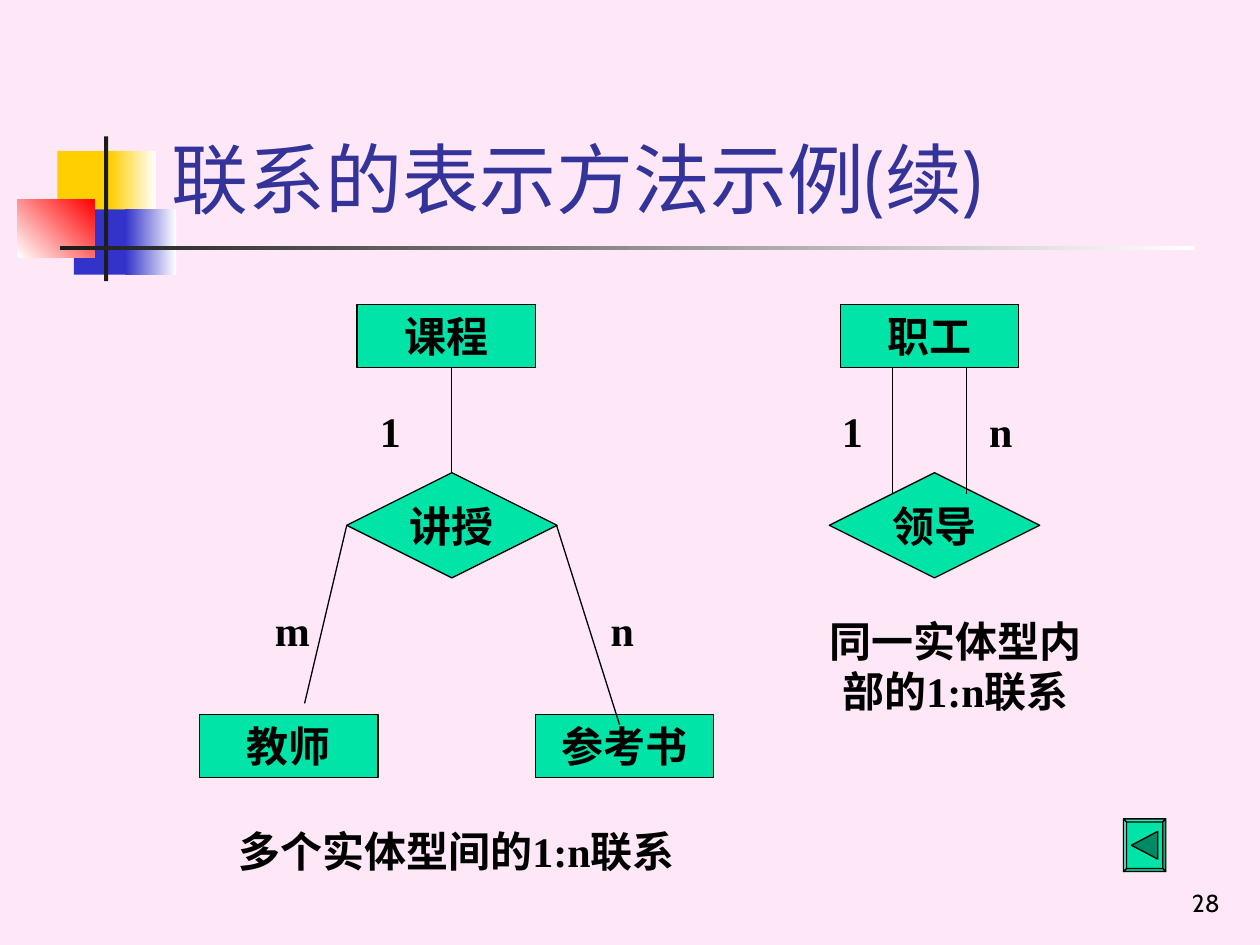
from lxml import etree
from pptx import Presentation
from pptx import util as u
from pptx.dml import color
from pptx.enum import shapes, text
from pptx.oxml import ns

GREEN, BLACK, WHITE = "00E4A8", "000000", "FFFFFF"
YELLOW, BLUE, RED, DARK = "FFCF01", "3333CC", "FF0000", "1C1C1C"
SERIF, SANS = "Times New Roman", "Cabin"
ENTITY_SIZE = (3.6, 1.27)
RELATION_SIZE = (4.24, 2.12)
LABEL_SIZE = (1.06, 1.27)
RECTANGLE = shapes.MSO_SHAPE.RECTANGLE
DIAMOND = shapes.MSO_SHAPE.DIAMOND
CENTER = text.PP_ALIGN.CENTER


def rgb(value):
    return color.RGBColor.from_string(value)


def lengths(*values):
    return [u.Cm(value) for value in values]


def paint(shape, fill, line=None):
    shape.shadow.inherit = False
    shape.fill.solid()
    shape.fill.fore_color.rgb = rgb(fill)
    if line:
        shape.line.color.rgb = rgb(line)
        shape.line.width = u.Pt(0.75)
    else:
        shape.line.fill.background()


def write(shape, words, font=SERIF, size=24, bold=True, value=BLACK,
          align=text.PP_ALIGN.LEFT, anchor=text.MSO_ANCHOR.TOP, wrap=True):
    frame = shape.text_frame
    frame.word_wrap = wrap
    frame.auto_size = text.MSO_AUTO_SIZE.NONE
    frame.vertical_anchor = anchor
    paragraph = frame.paragraphs[0]
    paragraph.alignment = align
    run = paragraph.add_run()
    run.text = words
    run.font.name = font
    run.font.size = u.Pt(size)
    run.font.bold = bold
    run.font.color.rgb = rgb(value)


def add_text(slide, box, words, **style):
    write(slide.shapes.add_textbox(*lengths(*box)), words, **style)


def add_node(slide, kind, left, top, words):
    size = DIAMOND == kind and RELATION_SIZE or ENTITY_SIZE
    node = slide.shapes.add_shape(kind, *lengths(left, top, *size))
    paint(node, GREEN, BLACK)
    anchor = text.MSO_ANCHOR.MIDDLE if kind == DIAMOND else text.MSO_ANCHOR.TOP
    write(node, words, align=CENTER, anchor=anchor, wrap=kind != DIAMOND)


def add_line(slide, *ends):
    line = slide.shapes.add_connector(shapes.MSO_CONNECTOR.STRAIGHT, *lengths(*ends))
    line.line.color.rgb = rgb(BLACK)
    line.line.width = u.Pt(0.75)
    etree.SubElement(line._element.spPr, ns.qn("a:effectLst"))


def add_diagram(slide, left, top, nodes, lines, labels, caption):
    for kind, x, y, words in nodes:
        add_node(slide, kind, left + x, top + y, words)
    for x1, y1, x2, y2 in lines:
        add_line(slide, left + x1, top + y1, left + x2, top + y2)
    for x, y, words in labels:
        add_text(slide, (left + x, top + y, *LABEL_SIZE), words)
    x, y, width, height, words = caption
    add_text(slide, (left + x, top + y, width, height), words, align=CENTER)


def add_ornament(slide, left, top):
    # Left, top, width, height, colour, end colour, angle
    pieces = [
        (0.81, 0.3, 1.22, 1.32, YELLOW, None, 0),
        (1.88, 0.3, 0.91, 1.32, YELLOW, WHITE, 0),
        (1.14, 1.47, 1.17, 1.32, BLUE, None, 0),
        (2.18, 1.47, 1.02, 1.32, BLUE, WHITE, 0),
        (0, 1.27, 1.55, 1.17, WHITE, RED, 45),
        (1.75, 0, 0.08, 2.92, DARK, None, 0),
        (0.86, 2.2, 22.86, 0.09, DARK, WHITE, 0),
    ]
    for x, y, width, height, start, end, angle in pieces:
        piece = slide.shapes.add_shape(
            RECTANGLE, *lengths(left + x, top + y, width, height))
        paint(piece, start)
        if end:
            piece.fill.gradient()
            piece.fill.gradient_angle = angle
            for stop, value in zip(piece.fill.gradient_stops, (start, end)):
                stop.color.rgb = rgb(value)


def add_back_button(slide, left, top, width, height):
    edge = 0.06
    outer = [(0, 0), (width, 0), (width, height), (0, height)]
    inner = [(edge, edge), (width - edge, edge),
             (width - edge, height - edge), (edge, height - edge)]
    arrow = [(0.16, height / 2), (0.69, 0.25), (0.69, height - 0.25)]
    sides = ["33E9B9", "00B686", "00CD97", "66EFCB"]
    polygons = [(outer, GREEN), (arrow, "008965")]
    for i, value in enumerate(sides):
        j = (i + 1) % 4
        polygons.append(([outer[i], outer[j], inner[j], inner[i]], value))
    for points, value in polygons:
        corners = [lengths(left + x, top + y) for x, y in points]
        builder = slide.shapes.build_freeform(*corners[0])
        builder.add_line_segments(corners[1:], close=True)
        paint(builder.convert_to_shape(), value, BLACK)


def add_title(slide, left, top, width, height, words):
    title = slide.shapes.title
    title.left, title.top, title.width, title.height = lengths(left, top, width, height)
    write(title, words, font=SANS, size=44, bold=False, value="333399",
          anchor=text.MSO_ANCHOR.BOTTOM)


presentation = Presentation()
presentation.slide_width, presentation.slide_height = lengths(25.4, 19.05)
slide = presentation.slides.add_slide(presentation.slide_layouts[5])
slide.background.fill.solid()
slide.background.fill.fore_color.rgb = rgb("FEE8F7")

# Heading and page number
add_ornament(slide, 0.35, 2.75)
add_title(slide, 3.2, 0.58, 21.64, 4.06, "联系的表示方法示例(续)")
add_text(slide, (19.56, 17.35, 5.28, 1.27), "28", font=SANS, size=14, bold=False,
         align=text.PP_ALIGN.RIGHT, anchor=text.MSO_ANCHOR.BOTTOM)

# Relation within one entity type
add_diagram(
    slide, 16.09, 6.14,
    nodes=[(RECTANGLE, 0.85, 0, "职工"), (DIAMOND, 0.63, 3.39, "领导")],
    lines=[(1.9, 3.81, 1.9, 1.27), (3.39, 1.27, 3.39, 3.81)],
    labels=[(0.63, 1.91, "1"), (3.6, 1.91, "n")],
    caption=(0, 6.14, 6.35, 2.29, "同一实体型内部的1:n联系"))

# Relation among several entity types
add_diagram(
    slide, 4.02, 6.14,
    nodes=[(RECTANGLE, 3.18, 0, "课程"), (DIAMOND, 2.97, 3.39, "讲授"),
           (RECTANGLE, 0, 8.26, "教师"), (RECTANGLE, 6.77, 8.26, "参考书")],
    lines=[(5.08, 3.39, 5.08, 1.27), (2.97, 4.45, 2.12, 8.04),
           (7.2, 4.45, 8.47, 8.47)],
    labels=[(3.39, 1.91, "1"), (1.27, 5.93, "m"), (8.04, 5.93, "n")],
    caption=(0, 10.37, 10.37, 1.27, "多个实体型间的1:n联系"))

# Navigation
add_back_button(slide, 22.65, 16.51, 0.85, 1.06)

presentation.save("out.pptx")
